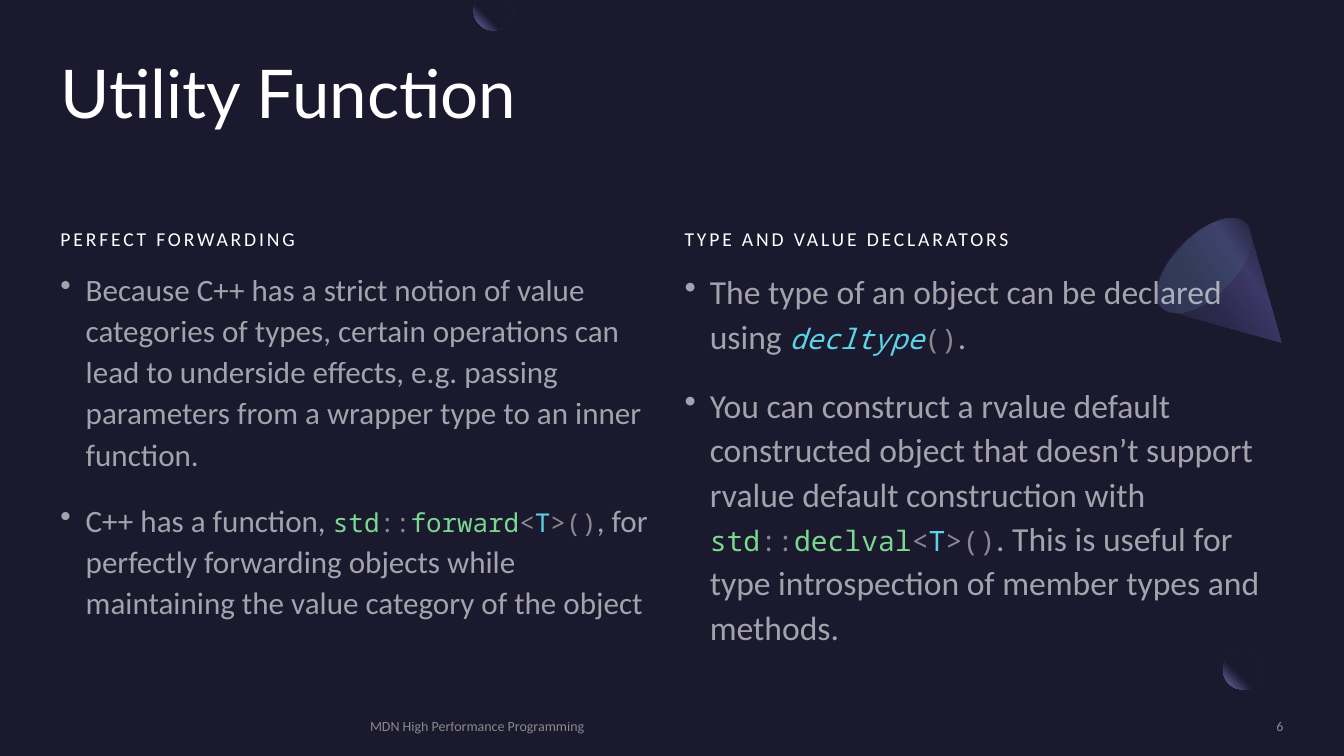
import math
from dataclasses import dataclass, field

import lxml.etree
import pptx
import pptx.dml.color
import pptx.enum.shapes
import pptx.enum.text
import pptx.oxml
import pptx.oxml.ns
import pptx.shapes.autoshape
import pptx.slide
import pptx.text.text
import pptx.util

PX = 9144  # EMU; 100 px to the inch
CODE_RATIO = 5 / 6
Point = tuple[float, float]


@dataclass(frozen=True)
class Ink:
    rgb: str
    alpha: int = 100


@dataclass(frozen=True)
class Theme:
    night: str = "1B192E"
    white: Ink = Ink("FFFFFF")
    body: Ink = Ink("FFFFFF", 60)
    muted: Ink = Ink("A6A6A6", 80)
    function: Ink = Ink("7BD88F")
    symbol: Ink = Ink("8B888F")
    keyword: Ink = Ink("5AD4E6")
    display_font: str = "Lato"
    text_font: str = "Calibri"
    code_font: str = "Noto Sans Mono"
    title_size: float = 48
    heading_size: float = 14
    footer_size: float = 10


THEME = Theme()


@dataclass(frozen=True)
class Box:
    left: int
    top: int
    width: int
    height: int

    def emu(self) -> list[int]:
        return [n * PX for n in (self.left, self.top, self.width, self.height)]


@dataclass(frozen=True)
class Span:
    text: str
    ink: Ink = THEME.body
    code: bool = False
    italic: bool = False


@dataclass(frozen=True)
class Column:
    left: int
    heading: str
    size: float
    points: list[list[Span]]


@dataclass(frozen=True)
class Label:
    text: str
    box: Box
    size: float
    ink: Ink
    font: str = THEME.text_font
    anchor: pptx.enum.text.MSO_ANCHOR = pptx.enum.text.MSO_ANCHOR.MIDDLE
    align: pptx.enum.text.PP_ALIGN = pptx.enum.text.PP_ALIGN.LEFT
    line_spacing: float = 1.0
    tracking: int = 0


@dataclass(frozen=True)
class Gradient:
    stops: list[tuple[int, Ink]] = field(default_factory=list)
    angle: int | None = None  # None: radial, centred on the top right corner


MOON = Gradient([(60, Ink(THEME.night)), (100, Ink("7771B2"))])
CONE = Gradient([(30, Ink("2C284A")), (40, Ink("3C3867")),
                 (60, Ink("2C284A")), (100, Ink(THEME.night))], 10)
CONE_MOUTH = Gradient([(0, Ink("454075", 33)), (100, Ink("5BEFC1", 0))], 90)


def code(text: str, ink: Ink, italic: bool = False) -> Span:
    return Span(text, ink, True, italic)


def std_call(name: str) -> list[Span]:
    """Coloured spans of std::name<T>()."""
    return [code("std", THEME.function), code("::", THEME.symbol),
            code(name, THEME.function), code("<", THEME.symbol),
            code("T", THEME.keyword), code(">()", THEME.symbol)]


COLUMNS = [
    Column(60, "PERFECT FORWARDING", 22.2, [
        [Span("Because C++ has a strict notion of value categories of types, certain "
              "operations can lead to underside effects, e.g. passing parameters from a "
              "wrapper type to an inner function.")],
        [Span("C++ has a function, "), *std_call("forward"),
         Span(", for perfectly forwarding objects while maintaining the value category "
              "of the object")]]),
    Column(679, "TYPE AND VALUE DECLARATORS", 24, [
        [Span("The type of an object can be declared using "),
         code("decltype", THEME.keyword, True), code("()", THEME.symbol), Span(".")],
        [Span("You can construct a rvalue default constructed object that doesn’t "
              "support rvalue default construction with "), *std_call("declval"),
         Span(". This is useful for type introspection of member types and methods.")]]),
]

LABELS = [
    Label("Utility Function", Box(60, 60, 1214, 146), THEME.title_size, THEME.white,
          THEME.display_font, pptx.enum.text.MSO_ANCHOR.TOP, line_spacing=0.9),
    *[Label(column.heading, Box(column.left, 189, 595, 59), THEME.heading_size, THEME.white,
            anchor=pptx.enum.text.MSO_ANCHOR.BOTTOM, line_spacing=1.1, tracking=2)
      for column in COLUMNS],
    Label("MDN High Performance Programming", Box(367, 712, 698, 17),
          THEME.footer_size, THEME.muted),
    Label("6", Box(1088, 712, 185, 17), THEME.footer_size, THEME.muted,
          align=pptx.enum.text.PP_ALIGN.RIGHT),
]


def style_run(run: pptx.text.text._Run, size: float, font: str, ink: Ink) -> None:
    run.font.size = pptx.util.Pt(size)
    run.font.name = font
    run.font.color.rgb = pptx.dml.color.RGBColor.from_string(ink.rgb)
    if ink.alpha < 100:
        colour = run.font._element.find(".//" + pptx.oxml.ns.qn("a:srgbClr"))
        lxml.etree.SubElement(colour, pptx.oxml.ns.qn("a:alpha"), val=str(ink.alpha * 1000))


def add_frame(slide: pptx.slide.Slide, box: Box) -> pptx.text.text.TextFrame:
    frame = slide.shapes.add_textbox(*box.emu()).text_frame
    frame.word_wrap = True
    frame.margin_left = frame.margin_top = frame.margin_right = frame.margin_bottom = 0
    return frame


def add_label(slide: pptx.slide.Slide, label: Label) -> None:
    frame = add_frame(slide, label.box)
    frame.vertical_anchor = label.anchor
    frame.text = label.text
    line = frame.paragraphs[0]
    line.alignment = label.align
    line.line_spacing = label.line_spacing
    style_run(line.runs[0], label.size, label.font, label.ink)
    if label.tracking:
        line.runs[0].font._element.set("spc", str(label.tracking * 100))


def add_points(slide: pptx.slide.Slide, column: Column) -> None:
    frame = add_frame(slide, Box(column.left, 265, 595, 384))
    for index, spans in enumerate(column.points):
        point = frame.add_paragraph() if index else frame.paragraphs[0]
        point.line_spacing = 1.1
        point.space_before = pptx.util.Pt(10 if index else 0)
        point.space_after = pptx.util.Pt(8)
        properties = point._p.get_or_add_pPr()
        properties.set("marL", str(25 * PX))
        properties.set("indent", str(-25 * PX))
        lxml.etree.SubElement(properties, pptx.oxml.ns.qn("a:buChar"), char="•")
        for span in spans:
            run = point.add_run()
            run.text = span.text
            size = round(column.size * CODE_RATIO, 1) if span.code else column.size
            style_run(run, size, THEME.code_font if span.code else THEME.text_font, span.ink)
            run.font.italic = span.italic


def paint(shape: pptx.shapes.autoshape.Shape, gradient: Gradient, rotation: int = 0) -> None:
    shape.shadow.inherit = False
    shape.line.fill.background()
    shape.rotation = rotation
    stops = "".join(
        f'<a:gs pos="{pos * 1000}"><a:srgbClr val="{ink.rgb}">'
        f'<a:alpha val="{ink.alpha * 1000}"/></a:srgbClr></a:gs>'
        for pos, ink in gradient.stops)
    course = ('<a:path path="circle"><a:fillToRect l="100000" b="100000"/></a:path>'
              if gradient.angle is None else f'<a:lin ang="{gradient.angle * 60000}"/>')
    shape.fill.background()
    properties = shape._element.spPr
    properties.replace(properties.find(pptx.oxml.ns.qn("a:noFill")), pptx.oxml.parse_xml(
        f'<a:gradFill {pptx.oxml.ns.nsdecls("a")} rotWithShape="1">'
        f'<a:gsLst>{stops}</a:gsLst>{course}</a:gradFill>'))


def arc(centre: Point, radii: Point, start: int, end: int) -> list[Point]:
    """Points along an ellipse, clockwise, with angles in degrees."""
    angles = [math.radians(start + (end - start) * i / 48) for i in range(49)]
    return [(centre[0] + radii[0] * math.cos(a), centre[1] + radii[1] * math.sin(a))
            for a in angles]


def add_outline(slide: pptx.slide.Slide, points: list[Point]) -> pptx.shapes.autoshape.Shape:
    corners = [(round(x * PX), round(y * PX)) for x, y in points]
    builder = slide.shapes.build_freeform(*corners[0], scale=1.0)
    builder.add_line_segments(corners[1:], close=True)
    return builder.convert_to_shape()


def main() -> None:
    deck = pptx.Presentation()
    deck.slide_width, deck.slide_height = 1333 * PX, 750 * PX
    slide = deck.slides.add_slide(deck.slide_layouts[6])
    slide.background.fill.solid()
    slide.background.fill.fore_color.rgb = pptx.dml.color.RGBColor.from_string(THEME.night)

    oval = pptx.enum.shapes.MSO_SHAPE.OVAL
    paint(slide.shapes.add_shape(oval, *Box(1213, 645, 39, 39).emu()), MOON)
    cone = [(1222, 222), *arc((1222, 331), (59, 29), -13, 193)]
    paint(add_outline(slide, cone), CONE, 135)
    paint(slide.shapes.add_shape(oval, *Box(1165, 204, 59, 118).emu()), CONE_MOUTH, 225)
    paint(add_outline(slide, arc((489.5, 10.5), (19.5, 19.5), -33, 213)), MOON)

    for label in LABELS:
        add_label(slide, label)
    for column in COLUMNS:
        add_points(slide, column)
    deck.save("out.pptx")


if __name__ == "__main__":
    main()
